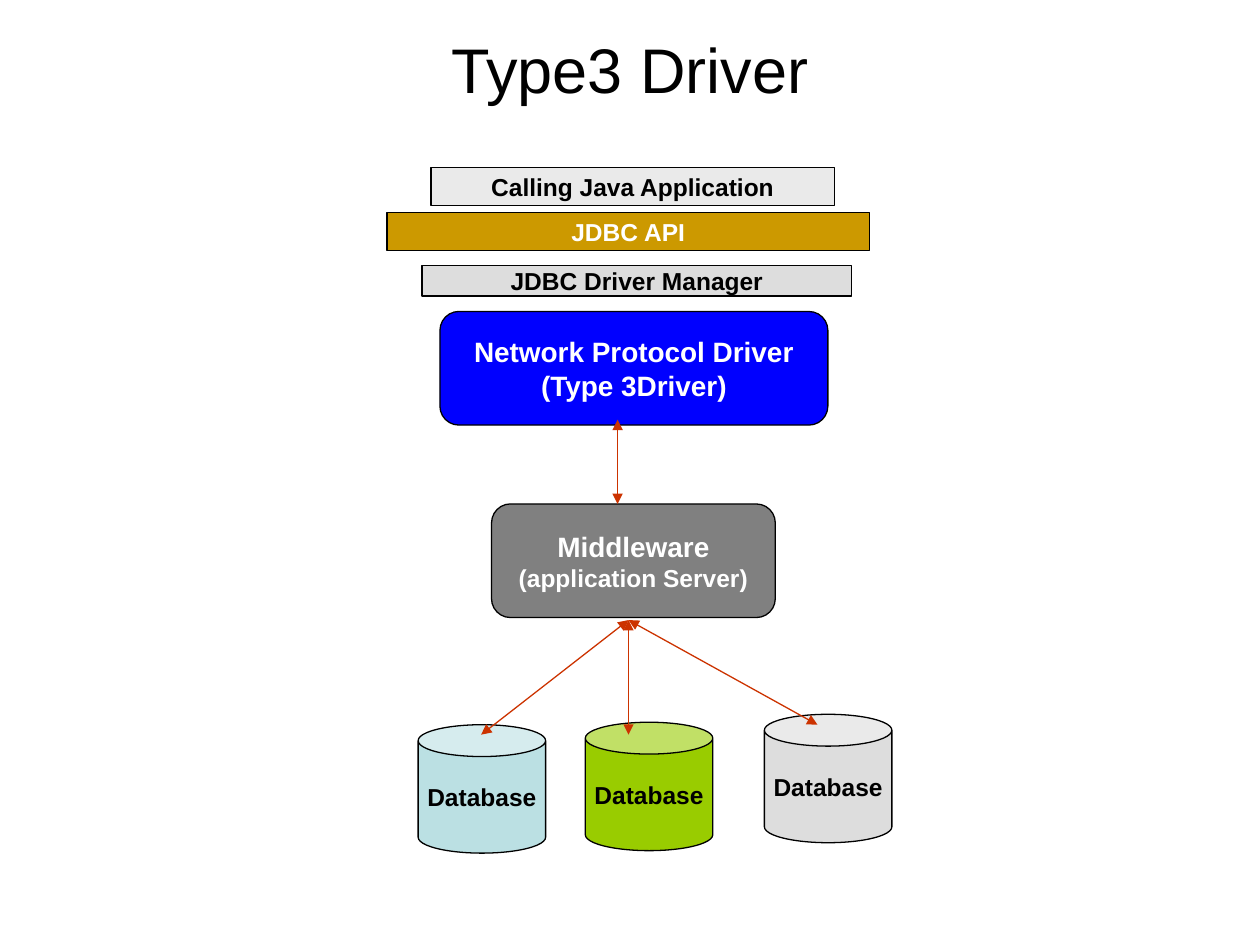
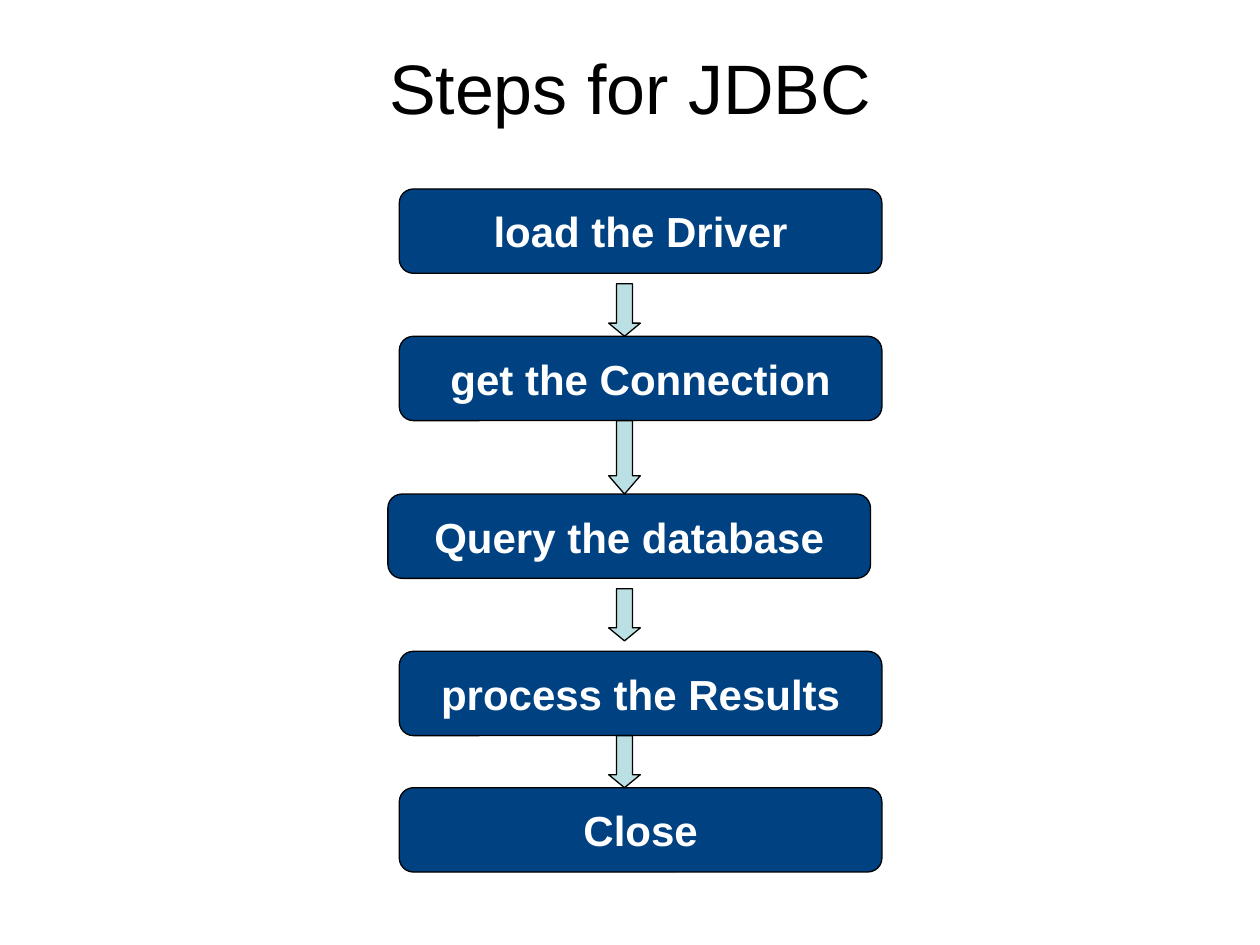
from dataclasses import dataclass

from lxml import etree
from pptx import Presentation
from pptx.dml.color import RGBColor
from pptx.enum.shapes import MSO_CONNECTOR, MSO_SHAPE
from pptx.enum.text import MSO_ANCHOR, MSO_AUTO_SIZE, PP_ALIGN
from pptx.oxml.ns import qn
from pptx.util import Cm, Pt

RECTANGLE = MSO_SHAPE.RECTANGLE
ROUNDED = MSO_SHAPE.ROUNDED_RECTANGLE
CAN = MSO_SHAPE.CAN
DOWN_ARROW = MSO_SHAPE.DOWN_ARROW
STRAIGHT = MSO_CONNECTOR.STRAIGHT
MIDDLE = MSO_ANCHOR.MIDDLE
CENTER = PP_ALIGN.CENTER
NO_AUTOFIT = MSO_AUTO_SIZE.NONE
TITLE_ONLY = 5


@dataclass(frozen=True)
class Theme:
    font: str = "Arial"
    black: str = "000000"
    white: str = "FFFFFF"
    pale_gray: str = "EAEAEA"
    light_gray: str = "DDDDDD"
    gray: str = "808080"
    gold: str = "CC9900"
    blue: str = "0000FF"
    navy: str = "004182"
    aqua: str = "BBE0E3"
    green: str = "99CC00"
    red: str = "CC3300"
    line_width: float = 0.75
    label_size: int = 14
    heading_size: int = 16
    step_size: int = 24
    diagram_title_size: int = 36
    steps_title_size: int = 40


THEME = Theme()


def style_paragraph(paragraph, size, color, bold):
    paragraph.alignment = CENTER
    font = paragraph.font
    font.name = THEME.font
    font.size = Pt(size)
    font.bold = bold
    font.color.rgb = RGBColor.from_string(color)


def style_line(line, color):
    line.color.rgb = RGBColor.from_string(color)
    line.width = Pt(THEME.line_width)


def add_titled_slide(presentation, text, size, height):
    slide = presentation.slides.add_slide(presentation.slide_layouts[TITLE_ONLY])
    title = slide.shapes.title
    title.left, title.top, title.width, title.height = Cm(1.27), Cm(0.76), Cm(22.86), Cm(height)
    frame = title.text_frame
    frame.text = text
    frame.auto_size = NO_AUTOFIT
    frame.vertical_anchor = MIDDLE
    style_paragraph(frame.paragraphs[0], size, THEME.black, False)
    return slide


def add_block(shapes, kind, box, fill, lines=(), color=THEME.black):
    shape = shapes.add_shape(kind, *map(Cm, box))
    shape.shadow.inherit = False
    shape.fill.solid()
    shape.fill.fore_color.rgb = RGBColor.from_string(fill)
    style_line(shape.line, THEME.black)
    if lines:
        frame = shape.text_frame
        frame.word_wrap = False
        frame.vertical_anchor = MIDDLE
        for index, (text, size) in enumerate(lines):
            paragraph = frame.add_paragraph() if index else frame.paragraphs[0]
            paragraph.text = text
            style_paragraph(paragraph, size, color, True)
    return shape


def add_double_arrow(shapes, start, end):
    connector = shapes.add_connector(STRAIGHT, *map(Cm, start + end))
    style_line(connector.line, THEME.red)
    line = connector.line._get_or_add_ln()
    for tag in ("a:headEnd", "a:tailEnd"):
        etree.SubElement(line, qn(tag), type="triangle")
    etree.SubElement(connector._element.spPr, qn("a:effectLst"))


def add_driver_stack(shapes, left, top):
    label, heading = THEME.label_size, THEME.heading_size
    layers = [
        (RECTANGLE, 0.89, 0, 8.13, 0.76, THEME.pale_gray, THEME.black,
         [("Calling Java Application", label)]),
        (RECTANGLE, 0, 0.91, 9.73, 0.76, THEME.gold, THEME.white,
         [("JDBC API", label)]),
        (RECTANGLE, 0.71, 1.98, 8.66, 0.61, THEME.light_gray, THEME.black,
         [("JDBC Driver Manager", label)]),
        (ROUNDED, 1.07, 2.9, 7.82, 2.29, THEME.blue, THEME.white,
         [("Network Protocol Driver", heading), ("(Type 3Driver)", heading)]),
        (ROUNDED, 2.11, 6.78, 5.72, 2.29, THEME.gray, THEME.white,
         [("Middleware", heading), ("(application Server)", label)]),
    ]
    for kind, x, y, width, height, fill, color, lines in layers:
        add_block(shapes, kind, (left + x, top + y, width, height), fill, lines, color)
    add_double_arrow(shapes, (left + 4.65, top + 5.08), (left + 4.65, top + 6.78))


def add_databases(shapes, left, top):
    hub = (left + 4.24, top)
    databases = [
        (0, 2.11, THEME.aqua, 1.27, 2.31),
        (3.37, 2.06, THEME.green, 4.24, 2.31),
        (6.98, 1.9, THEME.light_gray, 8.05, 2.11),
    ]
    for x, y, fill, end_x, end_y in databases:
        add_block(shapes, CAN, (left + x, top + y, 2.57, 2.59), fill,
                  [("Database", THEME.label_size)])
        add_double_arrow(shapes, hub, (left + end_x, top + end_y))


def add_steps(shapes, left, top):
    step_width, step_height = 9.73, 1.7
    arrow_width, arrow_left = 0.64, left + 4.45
    gap = 0.21
    steps = [
        ("load the Driver", 0.23, 0),
        ("get the Connection", 0.23, 2.97),
        ("Query the database", 0, 6.15),
        ("process the Results", 0.23, 9.32),
        ("Close", 0.23, 12.07),
    ]
    arrow_gaps = [(gap, 0), (0, 0), (gap, gap), (0, 0)]
    for text, x, y in steps:
        add_block(shapes, ROUNDED, (left + x, top + y, step_width, step_height),
                  THEME.navy, [(text, THEME.step_size)], THEME.white)
    for step, following, (above, below) in zip(steps, steps[1:], arrow_gaps):
        start = step[2] + step_height + above
        height = following[2] - below - start
        arrow = add_block(shapes, DOWN_ARROW,
                          (arrow_left, top + start, arrow_width, height), THEME.aqua)
        arrow.adjustments[1] = 0.25 * height / arrow_width


def build_driver_slide(presentation):
    slide = add_titled_slide(presentation, "Type3 Driver", THEME.diagram_title_size, 1.24)
    diagram = slide.shapes.add_group_shape().shapes
    add_driver_stack(diagram, 7.8, 3.38)
    add_databases(diagram, 8.43, 12.5)


def build_steps_slide(presentation):
    slide = add_titled_slide(presentation, "Steps for JDBC", THEME.steps_title_size, 1.98)
    add_steps(slide.shapes, 7.82, 3.81)


def main():
    presentation = Presentation()
    presentation.slide_width, presentation.slide_height = Cm(25.4), Cm(19.05)
    build_driver_slide(presentation)
    build_steps_slide(presentation)
    presentation.save("out.pptx")


if __name__ == "__main__":
    main()
